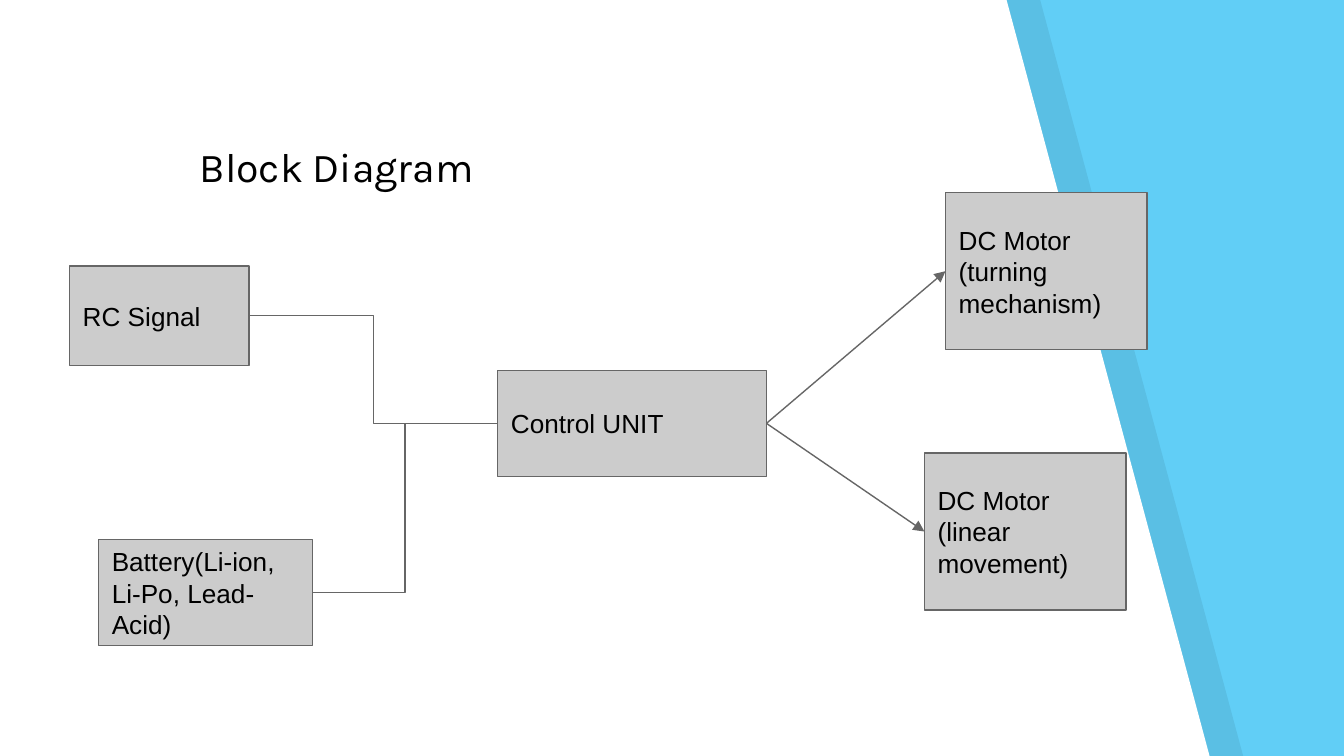
"""Build the block diagram slide of a motor control system."""
import dataclasses
import typing

import pptx
import pptx.dml.color
import pptx.enum.dml
import pptx.enum.shapes
import pptx.enum.text
import pptx.oxml
import pptx.oxml.ns
import pptx.util

RGB = pptx.dml.color.RGBColor
LINK = pptx.enum.shapes.MSO_CONNECTOR
ANCHOR = pptx.enum.text.MSO_ANCHOR
SKY = RGB(0x61, 0xCE, 0xF6)
WHITE = RGB(0xFF, 0xFF, 0xFF)
BLACK = RGB(0x00, 0x00, 0x00)
SILVER = RGB(0xCC, 0xCC, 0xCC)
GRAY = RGB(0x66, 0x66, 0x66)

WIDTH = pptx.util.Inches(10)
HEIGHT = WIDTH * 9 // 16
COLS = 100
CELL = WIDTH // COLS
ROWS = HEIGHT / CELL
PAD = CELL
THIN = pptx.util.Pt(0.75)
LEFT, RIGHT = 1, 3


@dataclasses.dataclass(frozen=True)
class Block:
    text: str
    col: float
    row: float
    cols: float
    rows: float


@dataclasses.dataclass(frozen=True)
class Wire:
    start: str
    end: str
    kind: typing.Any
    arrow: bool


BLOCKS = {
    "board": Block("Control UNIT", 37.03, 27.55, 20, 7.9),
    "turn": Block("DC Motor (turning mechanism)", 70.35, 14.33, 15, 11.7),
    "drive": Block("DC Motor (linear movement)", 68.78, 33.7, 15, 11.7),
    "power": Block("Battery(Li-ion, Li-Po, Lead-Acid)", 7.33, 40.15, 15.9, 7.9),
    "radio": Block("RC Signal", 5.17, 19.8, 13.35, 7.4),
}
WIRES = [
    Wire("power", "board", LINK.ELBOW, False),
    Wire("board", "turn", LINK.STRAIGHT, True),
    Wire("board", "drive", LINK.STRAIGHT, True),
    Wire("radio", "board", LINK.ELBOW, False),
]


def span(cells: float) -> int:
    """Turn a count of grid cells into a length."""
    return round(cells * CELL)


def write(shape, text: str, *, size: float, font: str, anchor, indent: float = 0) -> None:
    """Put left-aligned black text into a shape."""
    frame = shape.text_frame
    frame.word_wrap = True
    frame.auto_size = pptx.enum.text.MSO_AUTO_SIZE.NONE
    frame.vertical_anchor = anchor
    frame.margin_left = frame.margin_right = PAD
    frame.margin_top = frame.margin_bottom = PAD
    para = frame.paragraphs[0]
    para.alignment = pptx.enum.text.PP_ALIGN.LEFT
    props = para._p.get_or_add_pPr()
    props.set("marL", str(span(indent)))
    props.set("indent", "0")
    run = para.add_run()
    run.text = text
    run.font.size = pptx.util.Pt(size)
    run.font.name = font
    run.font.color.rgb = BLACK


def draw_panel(slide, shift: float, color: RGB, alpha: int = 100) -> None:
    """Draw a slanted panel, shifted right by some columns."""
    pen = slide.shapes.build_freeform(span(shift), 0, scale=1.0)
    corners = [(0, ROWS), (90, ROWS), (74.9, 0)]
    pen.add_line_segments([(span(col + shift), span(row)) for col, row in corners])
    panel = pen.convert_to_shape()
    panel.shadow.inherit = False
    panel.line.fill.background()
    panel.fill.solid()
    panel.fill.fore_color.rgb = color
    if alpha < 100:
        tint = panel._element.spPr.find(".//" + pptx.oxml.ns.qn("a:srgbClr"))
        tint.append(pptx.oxml.parse_xml(
            f'<a:alpha {pptx.oxml.ns.nsdecls("a")} val="{alpha * 1000}"/>'))


def draw_block(slide, block: Block):
    """Draw a labelled box and return it."""
    box = slide.shapes.add_shape(
        pptx.enum.shapes.MSO_SHAPE.RECTANGLE,
        span(block.col), span(block.row), span(block.cols), span(block.rows))
    box.shadow.inherit = False
    box.fill.solid()
    box.fill.fore_color.rgb = SILVER
    box.line.color.rgb = GRAY
    box.line.width = THIN
    write(box, block.text, size=14, font="Arial", anchor=ANCHOR.MIDDLE)
    return box


def draw_wire(slide, wire: Wire, boxes: dict) -> None:
    """Join the right side of one box to the left side of another."""
    line = slide.shapes.add_connector(wire.kind, 0, 0, 0, 0)
    line.begin_connect(boxes[wire.start], RIGHT)
    line.end_connect(boxes[wire.end], LEFT)
    line.line.color.rgb = GRAY
    line.line.width = THIN
    space = pptx.oxml.ns.nsdecls("a")
    if wire.arrow:
        line.line._get_or_add_ln().append(
            pptx.oxml.parse_xml(f'<a:tailEnd {space} type="triangle"/>'))
    line._element.spPr.append(pptx.oxml.parse_xml(f"<a:effectLst {space}/>"))


def main() -> None:
    """Build and save the slide."""
    deck = pptx.Presentation()
    deck.slide_width, deck.slide_height = WIDTH, HEIGHT
    slide = deck.slides.add_slide(deck.slide_layouts[5])
    ground = slide.background.fill
    ground.solid()
    ground.fore_color.rgb = SKY
    draw_panel(slide, 2.5, BLACK, alpha=7)
    draw_panel(slide, 0, WHITE)

    title = slide.shapes.title
    slide.shapes._spTree.append(title._element)
    title.left, title.top = span(8.85), span(9.55)
    title.width, title.height = span(72), span(6.1)
    write(title, "Block Diagram", size=22, font="Karla", anchor=ANCHOR.TOP, indent=5)

    boxes = {name: draw_block(slide, block) for name, block in BLOCKS.items()}
    for wire in WIRES:
        draw_wire(slide, wire, boxes)
    deck.save("out.pptx")


if __name__ == "__main__":
    main()
